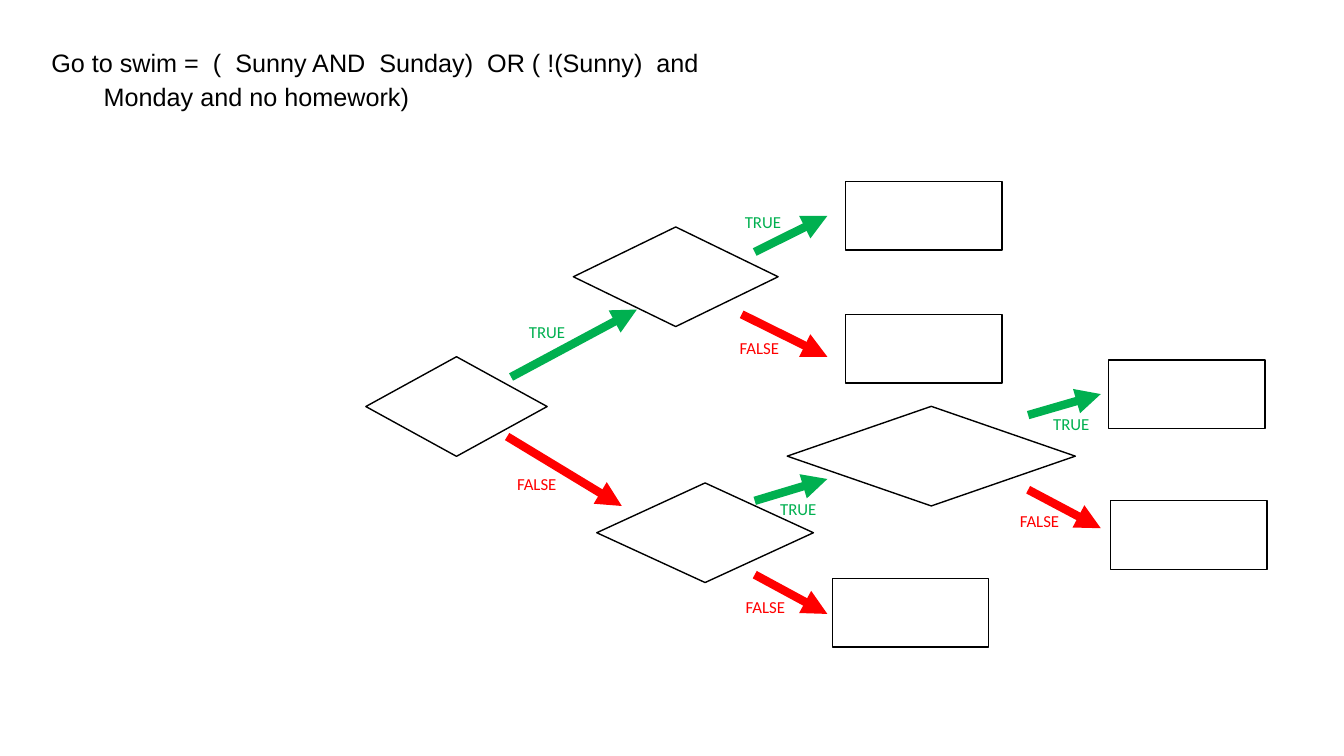
from lxml import etree
from pptx import Presentation, util as u
from pptx.dml.color import RGBColor
from pptx.enum import shapes, text
from pptx.oxml.ns import qn

COLORS = {"ink": "000000", "TRUE": "00B050", "FALSE": "FF0000"}


def write_text(shape, content, size, font, color, wrap=True, spacing=1.0):
    frame = shape.text_frame
    frame.text = content
    frame.word_wrap = wrap
    frame.auto_size = text.MSO_AUTO_SIZE.NONE
    frame.vertical_anchor = text.MSO_ANCHOR.TOP
    paragraph = frame.paragraphs[0]
    paragraph.alignment = text.PP_ALIGN.LEFT
    paragraph.line_spacing = spacing
    for run in paragraph.runs:
        run.font.size = u.Pt(size)
        run.font.name = font
        run.font.color.rgb = RGBColor.from_string(color)
    return paragraph


presentation = Presentation()
presentation.slide_width = u.Cm(33.87)
presentation.slide_height = u.Cm(19.05)
slide = presentation.slides.add_slide(presentation.slide_layouts[5])

# Rule as title, with a hanging second line
title = slide.shapes.title
title.left, title.top = u.Cm(1.04), u.Cm(0.94)
title.width, title.height = u.Cm(17.2), u.Cm(1.96)
rule = "Go to swim =  (  Sunny AND  Sunday)  OR ( !(Sunny)  and\vMonday and no homework)"
paragraph = write_text(title, rule, 18, "Arial", COLORS["ink"], spacing=1.15)
properties = paragraph._p.get_or_add_pPr()
properties.set("marL", str(u.Cm(1.32)))
properties.set("indent", str(-u.Cm(1.32)))

# Empty nodes of the tree: decisions, then outcomes (left, top, width, height)
decision, outcome = shapes.MSO_SHAPE.FLOWCHART_DECISION, shapes.MSO_SHAPE.RECTANGLE
nodes = [
    (decision, 9.22, 8.99, 4.57, 2.51),
    (decision, 14.45, 5.72, 5.16, 2.51),
    (decision, 15.04, 12.17, 5.46, 2.51),
    (decision, 19.84, 10.24, 7.26, 2.51),
]
for left, top in [(21.31, 4.57), (21.31, 7.92), (27.94, 9.07),
                  (27.99, 12.62), (20.98, 14.58)]:
    nodes.append((outcome, left, top, 3.94, 1.73))
for kind, *box in nodes:
    node = slide.shapes.add_shape(kind, *map(u.Cm, box))
    node.shadow.inherit = False
    node.fill.background()
    node.line.color.rgb = RGBColor.from_string(COLORS["ink"])
    node.line.width = u.Pt(1)

# Branches: answer, arrow start and end, label corner
branches = [
    ("TRUE", (12.88, 9.5, 16.05, 7.8), (13.08, 7.98)),
    ("FALSE", (12.78, 11, 15.67, 12.75), (12.78, 11.81)),
    ("TRUE", (19.02, 6.35, 20.85, 5.44), (18.52, 5.21)),
    ("FALSE", (18.69, 7.92, 20.85, 8.99), (18.39, 8.38)),
    ("TRUE", (19.02, 12.62, 20.85, 12.07), (19.41, 12.45)),
    ("FALSE", (19.02, 14.48, 20.85, 15.47), (18.54, 14.91)),
    ("TRUE", (25.91, 10.46, 27.74, 9.93), (26.29, 10.29)),
    ("FALSE", (25.91, 12.34, 27.74, 13.31), (25.45, 12.75)),
]
for answer, ends, corner in branches:
    arrow = slide.shapes.add_connector(shapes.MSO_CONNECTOR.STRAIGHT, *map(u.Cm, ends))
    arrow.line.color.rgb = RGBColor.from_string(COLORS[answer])
    arrow.line.width = u.Pt(6)
    etree.SubElement(arrow.line._get_or_add_ln(), qn("a:tailEnd"), type="triangle")
    etree.SubElement(arrow._element.spPr, qn("a:effectLst"))

    label_width = 1.45 if answer == "TRUE" else 1.68
    label = slide.shapes.add_textbox(*map(u.Cm, (*corner, label_width, 0.76)))
    write_text(label, answer, 12, "Calibri", COLORS[answer], wrap=False)

presentation.save("out.pptx")
